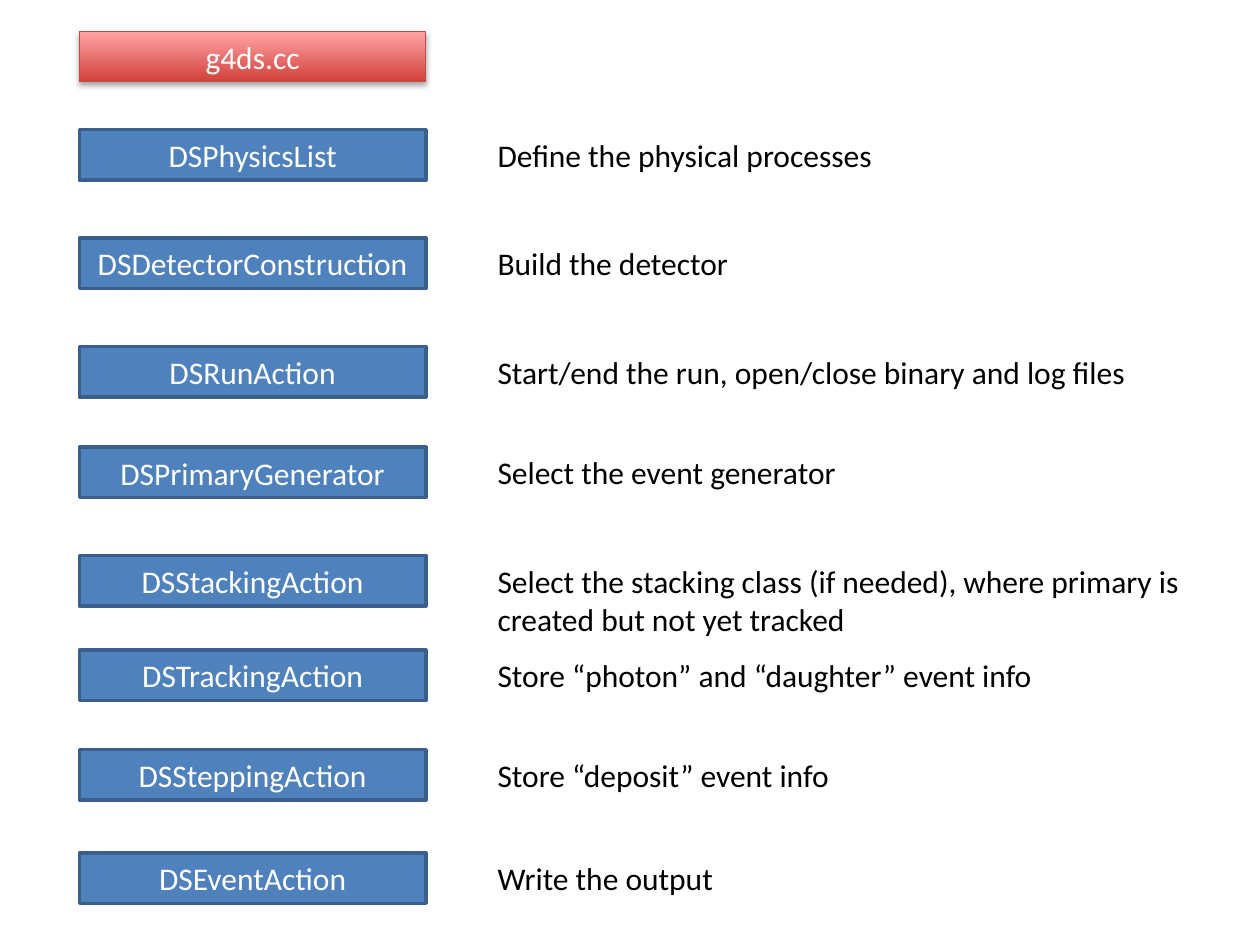
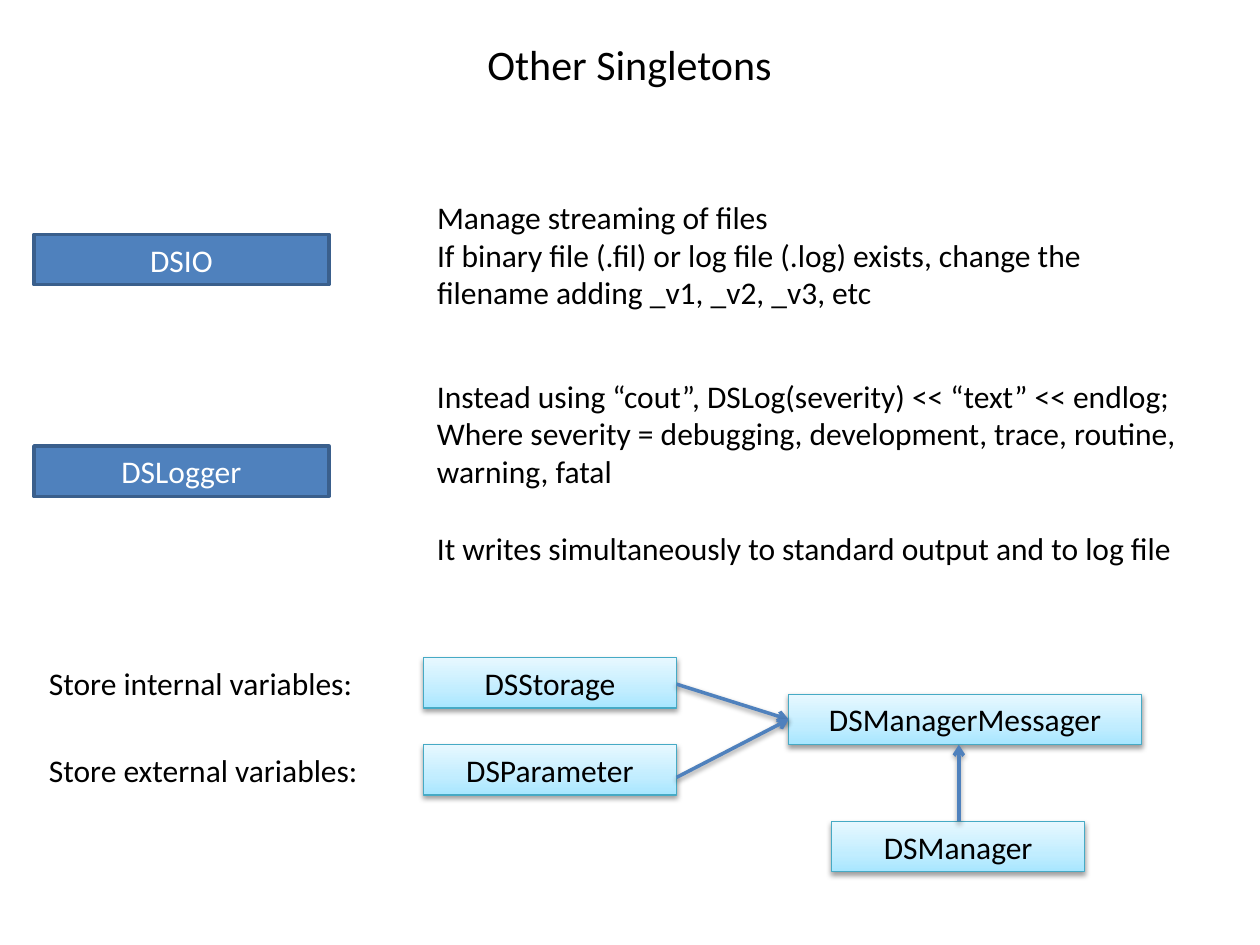
from lxml import etree
from pptx import Presentation
from pptx.dml.color import RGBColor
from pptx.enum import shapes, text
from pptx.oxml.ns import qn
from pptx.util import Inches, Pt

FONT, BODY_SIZE, TITLE_SIZE = "Calibri", 18, 24
BLACK, WHITE = "000000", "FFFFFF"
ARROW_COLOUR = "4F81BD"
BOX_HEIGHT = 0.4

# Box styles: fill stops run from bottom to top; shadow is alpha %, distance pt
BLUE = dict(stops=[(0, "4F81BD")], line="3A5F8C", width=2, font=WHITE, shadow=None)
RED = dict(stops=[(0, "D1403C"), (100, "FFA6A5")],
           line="BF4C48", width=0.75, font=WHITE, shadow=(35, 1.8))
CYAN = dict(stops=[(0, "A7E6FF"), (35, "C1EDFF"), (100, "E7F8FF")],
            line="46AAC5", width=0.75, font=BLACK, shadow=(38, 1.6))

# Slide 1: top, class name, role, width of the role, box style
CLASS_LEFT, CLASS_WIDTH, ROLE_LEFT = 0.63, 2.75, 3.85
NARROW, WIDE = 4.75, 6.15
CLASSES = [
    (0.25, "g4ds.cc", None, None, RED),
    (1.03, "DSPhysicsList", "Define the physical processes", NARROW, BLUE),
    (1.89, "DSDetectorConstruction", "Build the detector", NARROW, BLUE),
    (2.75, "DSRunAction", "Start/end the run, open/close binary and log files", WIDE, BLUE),
    (3.55, "DSPrimaryGenerator", "Select the event generator", NARROW, BLUE),
    (4.41, "DSStackingAction",
     "Select the stacking class (if needed), where primary is created but not yet tracked",
     WIDE, BLUE),
    (5.16, "DSTrackingAction", "Store “photon” and “daughter” event info", NARROW, BLUE),
    (5.95, "DSSteppingAction", "Store “deposit” event info", NARROW, BLUE),
    (6.77, "DSEventAction", "Write the output", NARROW, BLUE),
]

# Slide 2: box top, name, text top, text size, paragraphs with space before (pt)
TITLE = "Other Singletons"
SINGLETON_LEFT, SINGLETON_WIDTH, NOTE_LEFT = 0.27, 2.34, 3.37
SINGLETONS = [
    (1.86, "DSIO", 1.52, (5.58, 1.01), [
        ("Manage streaming of files", 0),
        ("If binary file (.fil) or log file (.log) exists, "
         "change the filename adding _v1, _v2, _v3, etc", 0)]),
    (3.54, "DSLogger", 2.94, (6.63, 1.62), [
        ("Instead using “cout”, DSLog(severity) << “text” << endlog;", 0),
        ("Where severity = debugging, development, trace, routine, warning, fatal", 0),
        ("It writes simultaneously to standard output and to log file", 22)]),
]
STORE_LABELS = [(5.22, "Store internal variables:"), (5.91, "Store external variables:")]
STORES = [  # left, top, width, name
    (3.36, 5.22, 2.01, "DSStorage"),
    (3.36, 5.91, 2.01, "DSParameter"),
    (6.6, 6.52, 2.01, "DSManager"),
    (6.26, 5.51, 2.8, "DSManagerMessager"),
]
ARROWS = [  # start, end
    ((5.37, 5.43), (6.26, 5.71)),
    ((5.37, 6.17), (6.26, 5.71)),
    ((7.61, 6.52), (7.61, 5.91)),
]


def rgb(colour):
    return RGBColor.from_string(colour)


def write(frame, paragraphs, colour=BLACK, size=BODY_SIZE,
          align=text.PP_ALIGN.LEFT, wrap=True):
    frame.word_wrap = wrap
    frame.auto_size = text.MSO_AUTO_SIZE.SHAPE_TO_FIT_TEXT
    for i, (words, before) in enumerate(paragraphs):
        paragraph = frame.add_paragraph() if i else frame.paragraphs[0]
        paragraph.alignment = align
        paragraph.space_before = Pt(before)
        run = paragraph.add_run()
        run.text = words
        run.font.name, run.font.size = FONT, Pt(size)
        run.font.color.rgb = rgb(colour)


def add_text(slide, left, top, width, height, paragraphs, **style):
    area = slide.shapes.add_textbox(*map(Inches, (left, top, width, height)))
    write(area.text_frame, paragraphs, **style)


def add_colour(parent, colour):
    return etree.SubElement(parent, qn("a:srgbClr"), val=colour)


def cast_shadow(effects, alpha, distance):
    outer = etree.SubElement(effects, qn("a:outerShdw"), blurRad=str(Pt(3.1)),
                             dist=str(Pt(distance)), dir="5400000", rotWithShape="0")
    etree.SubElement(add_colour(outer, BLACK), qn("a:alpha"), val=str(alpha * 1000))


def fill_box(box, stops):
    if len(stops) == 1:
        box.fill.solid()
        box.fill.fore_color.rgb = rgb(stops[0][1])
        return
    box.fill.gradient()
    box.fill.gradient_angle = 90
    stop_list = next(box._element.iter(qn("a:gsLst")))
    for stop in list(stop_list):
        stop_list.remove(stop)
    for position, colour in stops:
        add_colour(etree.SubElement(stop_list, qn("a:gs"), pos=str(position * 1000)), colour)


def add_box(slide, left, top, width, name, style):
    box = slide.shapes.add_shape(shapes.MSO_SHAPE.RECTANGLE,
                                 *map(Inches, (left, top, width, BOX_HEIGHT)))
    fill_box(box, style["stops"])
    box.line.color.rgb = rgb(style["line"])
    box.line.width = Pt(style["width"])
    box.shadow.inherit = False
    if style["shadow"]:
        cast_shadow(box._element.spPr.find(qn("a:effectLst")), *style["shadow"])
    write(box.text_frame, [(name, 0)], style["font"], align=text.PP_ALIGN.CENTER)


def add_arrow(slide, start, end):
    arrow = slide.shapes.add_connector(shapes.MSO_CONNECTOR.STRAIGHT,
                                       *map(Inches, start + end))
    arrow.line.color.rgb = rgb(ARROW_COLOUR)
    arrow.line.width = Pt(2)
    properties = arrow._element.spPr
    etree.SubElement(properties.find(qn("a:ln")), qn("a:tailEnd"), type="arrow")
    cast_shadow(etree.SubElement(properties, qn("a:effectLst")), *CYAN["shadow"])


def build_classes(slide):
    for top, name, role, role_width, style in CLASSES:
        add_box(slide, CLASS_LEFT, top, CLASS_WIDTH, name, style)
        if role:
            add_text(slide, ROLE_LEFT, top, role_width, BOX_HEIGHT, [(role, 0)])


def build_singletons(slide):
    add_text(slide, 3.77, 0.26, 2.48, 0.5, [(TITLE, 0)], size=TITLE_SIZE, wrap=False)
    for top, name, note_top, note_size, note in SINGLETONS:
        add_box(slide, SINGLETON_LEFT, top, SINGLETON_WIDTH, name, BLUE)
        add_text(slide, NOTE_LEFT, note_top, *note_size, note)

    # Stores and their messenger
    for top, label in STORE_LABELS:
        add_text(slide, 0.29, top, 3.26, BOX_HEIGHT, [(label, 0)])
    for left, top, width, name in STORES:
        add_box(slide, left, top, width, name, CYAN)
    for start, end in ARROWS:
        add_arrow(slide, start, end)


def main():
    deck = Presentation()
    deck.slide_width, deck.slide_height = Inches(10), Inches(7.5)
    for build in (build_classes, build_singletons):
        build(deck.slides.add_slide(deck.slide_layouts[6]))
    deck.save("out.pptx")


if __name__ == "__main__":
    main()
